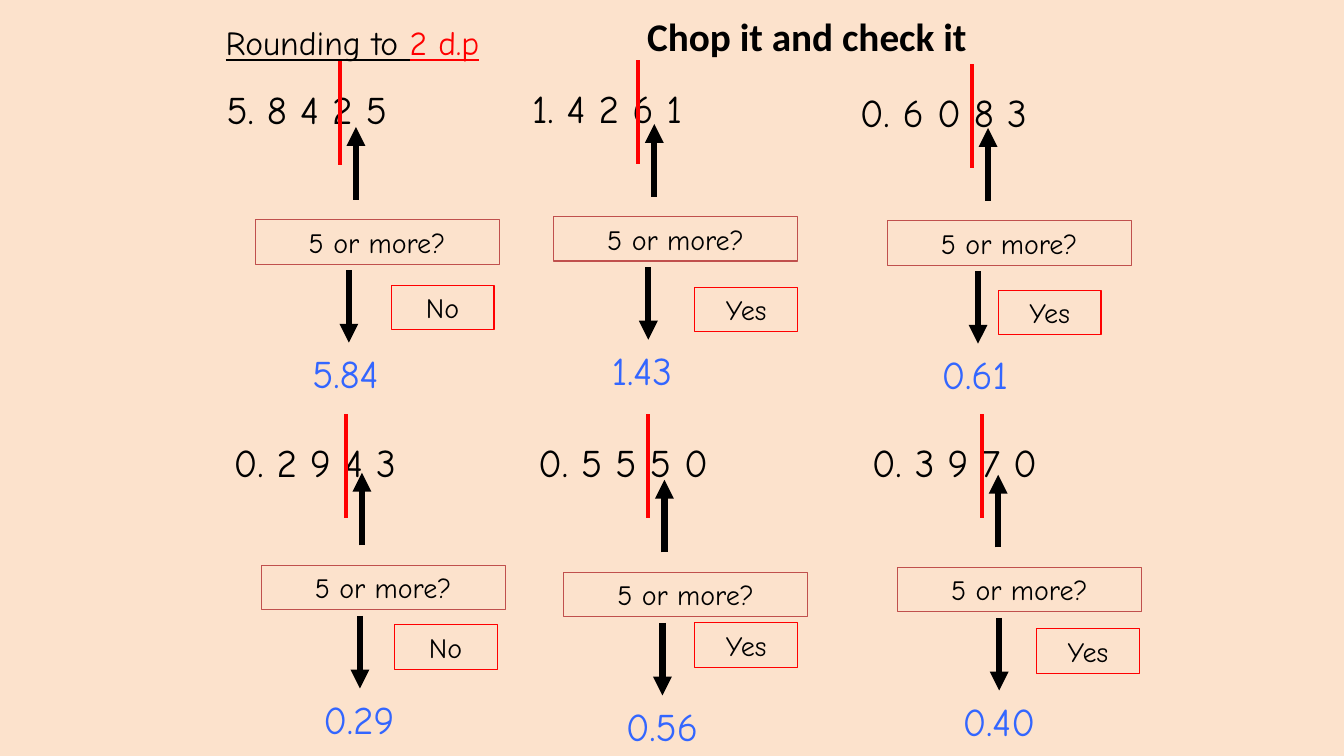
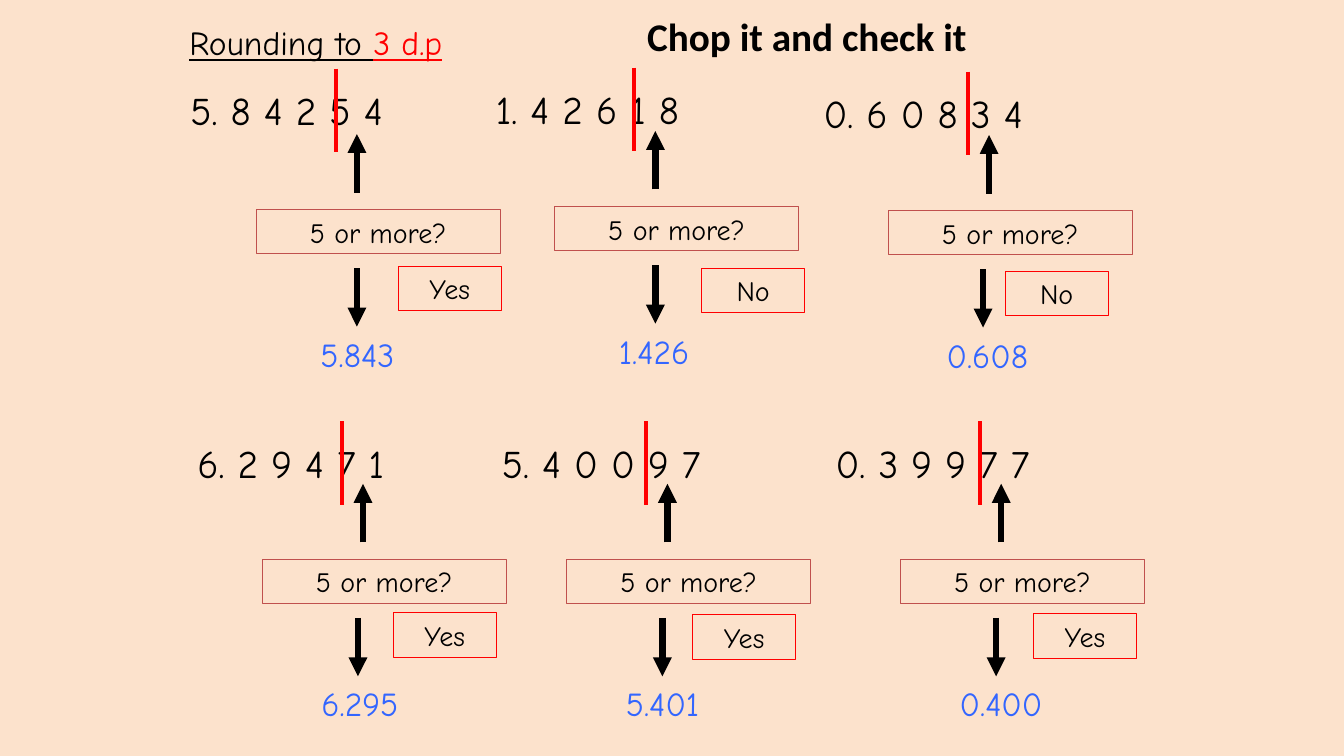
from dataclasses import dataclass

from lxml import etree
from pptx import Presentation
from pptx.dml.color import RGBColor
from pptx.enum.shapes import MSO_CONNECTOR, MSO_SHAPE
from pptx.enum.text import MSO_ANCHOR, PP_ALIGN
from pptx.oxml.ns import qn
from pptx.util import Inches, Pt


@dataclass(frozen=True)
class Theme:
    background: str = "FCE2CC"
    ink: str = "000000"
    red: str = "FF0000"
    question: str = "C0504D"
    answer: str = "3366FF"
    font: str = "Comic Neue"
    title_font: str = "Calibri"
    large: int = 28
    heading: int = 24
    label: int = 20
    border: float = 0.75
    chop: float = 3
    arrow: float = 4.5


@dataclass(frozen=True)
class Layout:
    chop_x: float
    chop_above: float
    chop_length: float
    arrow_length: float
    up_gap: float
    down_gap: float
    answer_size: int
    answer_height: float


@dataclass(frozen=True)
class Problem:
    number: str
    verdict: str
    answer: str
    at: tuple
    question: tuple
    down_x: float
    verdict_at: tuple


THEME = Theme()


def add_run(p, text, size, color, font=THEME.font, bold=False, underline=False):
    r = p.add_run()
    r.text = text
    r.font.name = font
    r.font.size = Pt(size)
    r.font.bold = bold
    r.font.underline = underline
    r.font.color.rgb = RGBColor.from_string(color)


def add_text(slide, x, y, w, h, wrap=True):
    tf = slide.shapes.add_textbox(Inches(x), Inches(y), Inches(w), Inches(h)).text_frame
    tf.word_wrap = wrap
    return tf.paragraphs[0]


def add_label(slide, x, y, w, text, border):
    sp = slide.shapes.add_shape(
        MSO_SHAPE.RECTANGLE, Inches(x), Inches(y), Inches(w), Inches(0.44))
    sp.shadow.inherit = False
    sp.fill.background()
    sp.line.color.rgb = RGBColor.from_string(border)
    sp.line.width = Pt(THEME.border)
    tf = sp.text_frame
    tf.word_wrap = True
    tf.vertical_anchor = MSO_ANCHOR.MIDDLE
    p = tf.paragraphs[0]
    p.alignment = PP_ALIGN.CENTER
    add_run(p, text, THEME.label, THEME.ink)


def add_vertical(slide, x, start, end, color, width, arrow=False):
    line = slide.shapes.add_connector(
        MSO_CONNECTOR.STRAIGHT, Inches(x), Inches(start), Inches(x), Inches(end))
    line.line.color.rgb = RGBColor.from_string(color)
    line.line.width = Pt(width)
    if arrow:
        etree.SubElement(line.line._get_or_add_ln(), qn("a:tailEnd"), type="triangle")
    etree.SubElement(line._element.spPr, qn("a:effectLst"))


def add_arrow(slide, x, start, end):
    add_vertical(slide, x, start, end, THEME.ink, THEME.arrow, arrow=True)


def add_problem(slide, problem, layout):
    x, y = problem.at
    qx, qy = x + problem.question[0], y + problem.question[1]
    add_run(add_text(slide, x, y, 2.5, 0.57), problem.number, THEME.large, THEME.ink)
    add_label(slide, qx, qy, 2.42, "5 or more?", THEME.question)

    up = qy - layout.up_gap
    add_arrow(slide, qx + 1, up, up - layout.arrow_length)
    top = y - layout.chop_above
    add_vertical(slide, qx + layout.chop_x, top, top + layout.chop_length,
                 THEME.red, THEME.chop)

    down_x, down = qx + problem.down_x, qy + layout.down_gap
    tip = down + layout.arrow_length
    add_arrow(slide, down_x, down, tip)
    add_run(add_text(slide, down_x - 0.46, tip + 0.02, 1.1, layout.answer_height),
            problem.answer, layout.answer_size, THEME.answer)

    dx, dy = problem.verdict_at
    add_label(slide, qx + dx, qy + dy, 1.02, problem.verdict, THEME.red)


def add_headings(slide, x, places):
    p = add_text(slide, x, 0.17, 2.92, 0.5)
    add_run(p, "Rounding to ", THEME.heading, THEME.ink, underline=True)
    add_run(p, places, THEME.heading, THEME.red, underline=True)
    p = add_text(slide, 6.32, 0.07, 3.41, 0.57, wrap=False)
    add_run(p, "Chop it and check it", THEME.large, THEME.ink, THEME.title_font, bold=True)


def add_rounding_slide(prs, heading_x, places, layout, problems):
    slide = prs.slides.add_slide(prs.slide_layouts[6])
    add_headings(slide, heading_x, places)
    for problem in problems:
        add_problem(slide, problem, layout)


TWO_PLACES = Layout(0.84, 0.19, 1.03, 0.72, 0.2, 0.5, THEME.large, 0.57)
THREE_PLACES = Layout(0.79, 0.13, 0.83, 0.58, 0.17, 0.58, THEME.heading, 0.5)

TWO_PLACE_PROBLEMS = [
    Problem("5. 8 4 2 5", "No", "5.84", (2.15, 0.8), (0.38, 1.38), 0.93, (1.35, 0.65)),
    Problem("1. 4 2 6 1", "Yes", "1.43", (5.18, 0.79), (0.31, 1.36), 0.94, (1.4, 0.7)),
    Problem("0. 6 0 8 3", "Yes", "0.61", (8.43, 0.83), (0.37, 1.36), 0.9, (1.1, 0.69)),
    Problem("0. 2 9 4 3", "No", "0.29", (2.22, 4.3), (0.37, 1.31), 0.98, (1.32, 0.59)),
    Problem("0. 5 5 5 0", "Yes", "0.56", (5.24, 4.3), (0.35, 1.38), 0.98, (1.3, 0.5)),
    Problem("0. 3 9 7 0", "Yes", "0.40", (8.55, 4.3), (0.35, 1.33), 1.01, (1.38, 0.61)),
]

THREE_PLACE_PROBLEMS = [
    Problem("5. 8 4 2 5 4", "Yes", "5.843", (1.79, 0.81), (0.75, 1.27), 1, (1.41, 0.56)),
    Problem("1. 4 2 6 1 8", "No", "1.426", (4.82, 0.8), (0.68, 1.25), 1, (1.46, 0.61)),
    Problem("0. 6 0 8 3 4", "No", "0.608", (8.07, 0.84), (0.74, 1.25), 0.94, (1.16, 0.6)),
    Problem("6. 2 9 4 7 1", "Yes", "6.295", (1.86, 4.31), (0.74, 1.24), 0.95, (1.3, 0.53)),
    Problem("5. 4 0 0 9 7", "Yes", "5.401", (4.88, 4.31), (0.74, 1.24), 0.95, (1.25, 0.55)),
    Problem("0. 3 9 9 7 7", "Yes", "0.400", (8.19, 4.31), (0.74, 1.24), 0.95, (1.32, 0.54)),
]


def main():
    prs = Presentation()
    prs.slide_width = Inches(13.33)
    prs.slide_height = Inches(7.5)
    fill = prs.slide_master.background.fill
    fill.solid()
    fill.fore_color.rgb = RGBColor.from_string(THEME.background)
    add_rounding_slide(prs, 2.14, "2 d.p", TWO_PLACES, TWO_PLACE_PROBLEMS)
    add_rounding_slide(prs, 1.78, "3 d.p", THREE_PLACES, THREE_PLACE_PROBLEMS)
    prs.save("out.pptx")


if __name__ == "__main__":
    main()
